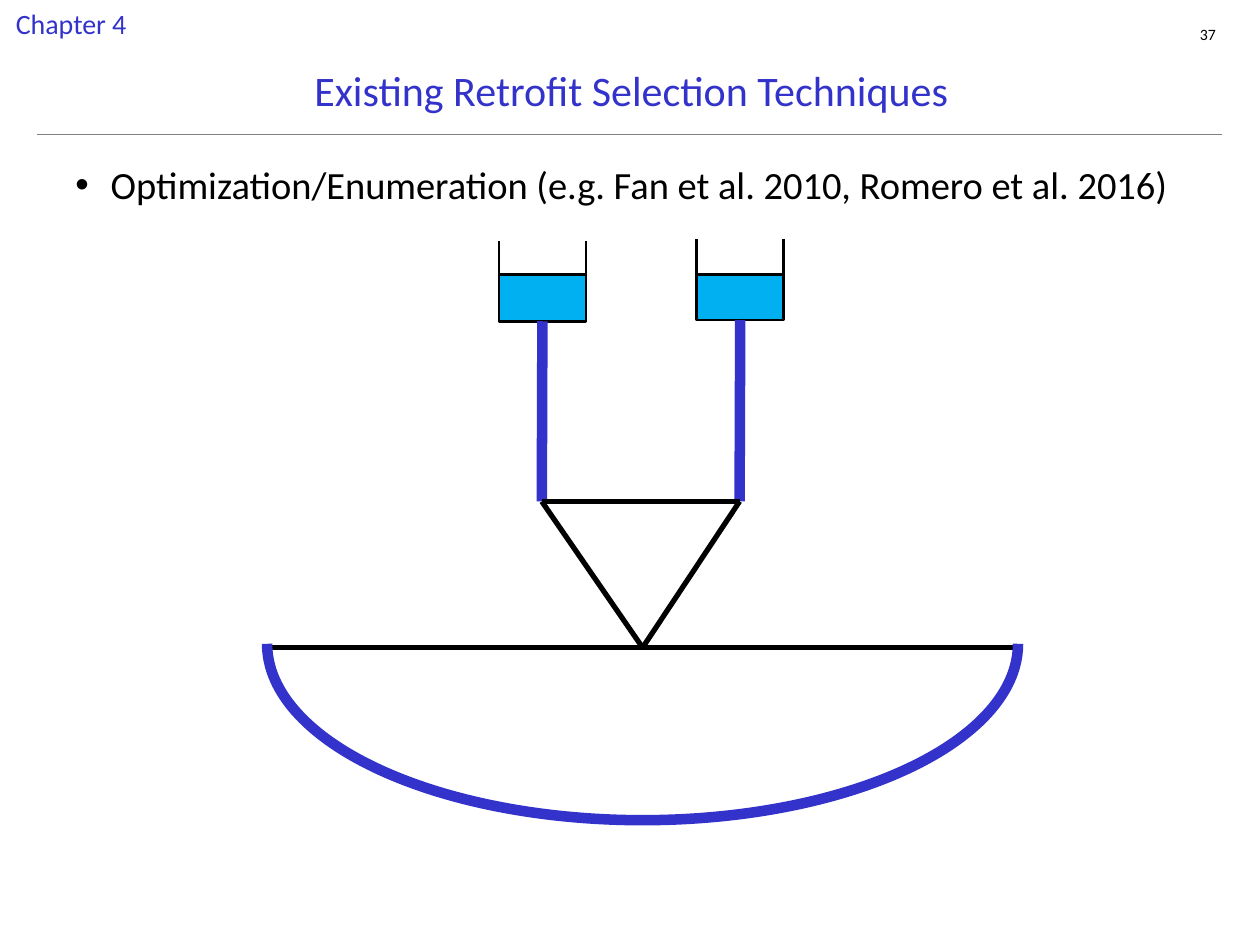
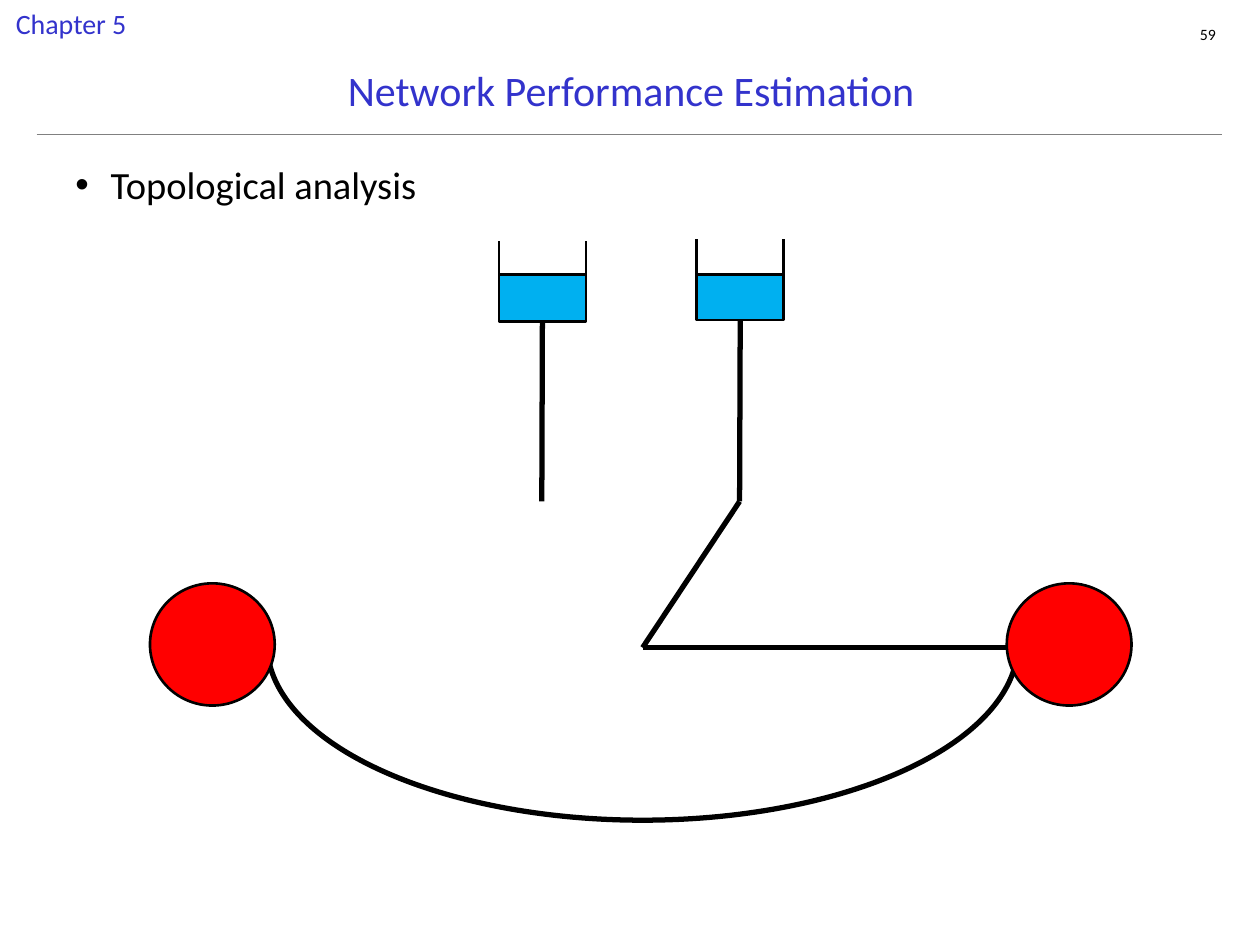
from lxml import etree
from pptx import Presentation
from pptx import util as u
from pptx.dml.color import RGBColor
from pptx.enum import shapes, text
from pptx.oxml.ns import qn

FONT = "Calibri"
BLUE, BLACK, WHITE, GREY = "3333CC", "000000", "FFFFFF", "808080"
WATER, RED = "00B0F0", "FF0000"
THIN, PIPE, THICK = 1.5, 3, 6  # line widths in points

# Network nodes (x, y)
LEFT_NODE, RIGHT_NODE = (4.3, 3.98), (5.87, 3.98)
JUNCTION = (5.1, 5.14)
WEST_END, EAST_END = (2.11, 5.14), (8.08, 5.14)

# Tanks: left edge and bottom
TANK_WIDTH, WATER_TOP, TANK_HEIGHT = 0.69, 2.18, 0.64
LEFT_TANK, RIGHT_TANK = (3.96, 2.55), (5.53, 2.54)


def rgb(value):
    return RGBColor.from_string(value)


def box(left, top, width, height):
    return [u.Inches(v) for v in (left, top, width, height)]


def style_text(paragraph, size, color, align):
    paragraph.font.name = FONT
    paragraph.font.size = u.Pt(size)
    paragraph.font.color.rgb = rgb(color)
    paragraph.alignment = align


def add_label(slide, area, words, size, color, align, margin=None, wrap=True):
    label = slide.shapes.add_textbox(*box(*area))
    frame = label.text_frame
    frame.word_wrap = wrap
    if margin is not None:
        frame.margin_left = frame.margin_right = u.Inches(margin)
        frame.margin_top = frame.margin_bottom = u.Inches(margin)
    frame.text = words
    style_text(frame.paragraphs[0], size, color, align)
    return label


def add_line(parent, start, end, color=BLACK, width=PIPE):
    line = parent.add_connector(
        shapes.MSO_CONNECTOR.STRAIGHT, *[u.Inches(v) for v in (*start, *end)])
    line.line.color.rgb = rgb(color)
    line.line.width = u.Pt(width)
    etree.SubElement(line._element.spPr, qn("a:effectLst"))
    return line


def add_outlined(parent, kind, area, fill=None, color=BLACK, width=THIN):
    outlined = parent.add_shape(kind, *box(*area))
    outlined.shadow.inherit = False
    if fill:
        outlined.fill.solid()
        outlined.fill.fore_color.rgb = rgb(fill)
    else:
        outlined.fill.background()
    outlined.line.color.rgb = rgb(color)
    outlined.line.width = u.Pt(width)
    return outlined


def add_bullet(slide, words):
    body = slide.shapes.add_textbox(*box(0.5, 1.23, 9, 5.9))
    body.text_frame.word_wrap = True
    body.text_frame.text = words
    paragraph = body.text_frame.paragraphs[0]
    properties = paragraph._p.get_or_add_pPr()
    properties.set("marL", str(u.Inches(0.28)))
    properties.set("indent", str(-u.Inches(0.28)))
    etree.SubElement(properties, qn("a:buFont"), typeface="Arial")
    etree.SubElement(properties, qn("a:buChar"), char="•")
    style_text(paragraph, 22, BLACK, text.PP_ALIGN.LEFT)


def add_content_slide(prs, chapter, number, heading, bullet):
    slide = prs.slides.add_slide(prs.slide_layouts[5])
    # Page number and rule
    add_label(slide, (8.95, 0.2, 0.7, 0.15), number, 9, BLACK,
              text.PP_ALIGN.RIGHT, margin=0)
    add_line(slide.shapes, (0.29, 1.07), (9.7, 1.07), GREY, 0.75)
    # Title
    title = slide.shapes.title
    title.left, title.top, title.width, title.height = box(0.51, 0.44, 9, 0.55)
    title.text_frame.text = heading
    title.text_frame.auto_size = text.MSO_AUTO_SIZE.NONE
    title.text_frame.vertical_anchor = text.MSO_ANCHOR.MIDDLE
    style_text(title.text_frame.paragraphs[0], 24, BLUE, text.PP_ALIGN.CENTER)
    # Chapter label and bullet
    label = add_label(slide, (0, 0, 1.13, 0.37), chapter, 16, BLUE,
                      text.PP_ALIGN.CENTER, wrap=False)
    label.fill.solid()
    label.fill.fore_color.rgb = rgb(WHITE)
    add_bullet(slide, bullet)
    return slide


def add_tank(slide, position, node, color, width):
    """Draw an open tank with water and the pipe from its bottom to a node."""
    left, bottom = position
    tank = slide.shapes.add_group_shape()
    water = add_outlined(tank.shapes, shapes.MSO_SHAPE.RECTANGLE,
                         (left, WATER_TOP, TANK_WIDTH, bottom - WATER_TOP), WATER)
    for wall in (left, left + TANK_WIDTH):
        add_line(tank.shapes, (wall, bottom), (wall, bottom - TANK_HEIGHT),
                 width=THIN)
    pipe = add_line(slide.shapes, (left + TANK_WIDTH / 2, bottom), node, color, width)
    pipe.begin_connect(water, 2)


def add_network(slide, links, color, width):
    """Draw the tanks, the lower loop and the given links."""
    add_tank(slide, LEFT_TANK, LEFT_NODE, color, width)
    add_tank(slide, RIGHT_TANK, RIGHT_NODE, color, width)
    for start, end in links:
        add_line(slide.shapes, start, end)
    loop = add_outlined(slide.shapes, shapes.MSO_SHAPE.ARC,
                        (2.12, 3.71, 5.96, 2.8), color=color, width=width)
    loop.adjustments[0] = 0
    loop.adjustments[1] = 108  # 180 degrees, in units of 100000/60000 degree


def main():
    prs = Presentation()
    prs.slide_width, prs.slide_height = u.Inches(10), u.Inches(7.5)

    # Retrofit selection: whole network, selected pipes in blue
    retrofit = add_content_slide(
        prs, "Chapter 4", "37", "Existing Retrofit Selection Techniques",
        "Optimization/Enumeration (e.g. Fan et al. 2010, Romero et al. 2016)")
    kept_links = [(RIGHT_NODE, JUNCTION), (JUNCTION, EAST_END)]
    lost_links = [(WEST_END, JUNCTION), (LEFT_NODE, RIGHT_NODE),
                  (LEFT_NODE, JUNCTION)]
    add_network(retrofit, lost_links + kept_links, BLUE, THICK)

    # Topological analysis: remaining links and the two demand nodes
    topology = add_content_slide(
        prs, "Chapter 5", "59", "Network Performance Estimation",
        "Topological analysis")
    add_network(topology, kept_links, BLACK, PIPE)
    for left in (1.19, 7.99):
        add_outlined(topology.shapes, shapes.MSO_SHAPE.OVAL,
                     (left, 4.63, 0.99, 0.97), RED)

    prs.save("out.pptx")


if __name__ == "__main__":
    main()
